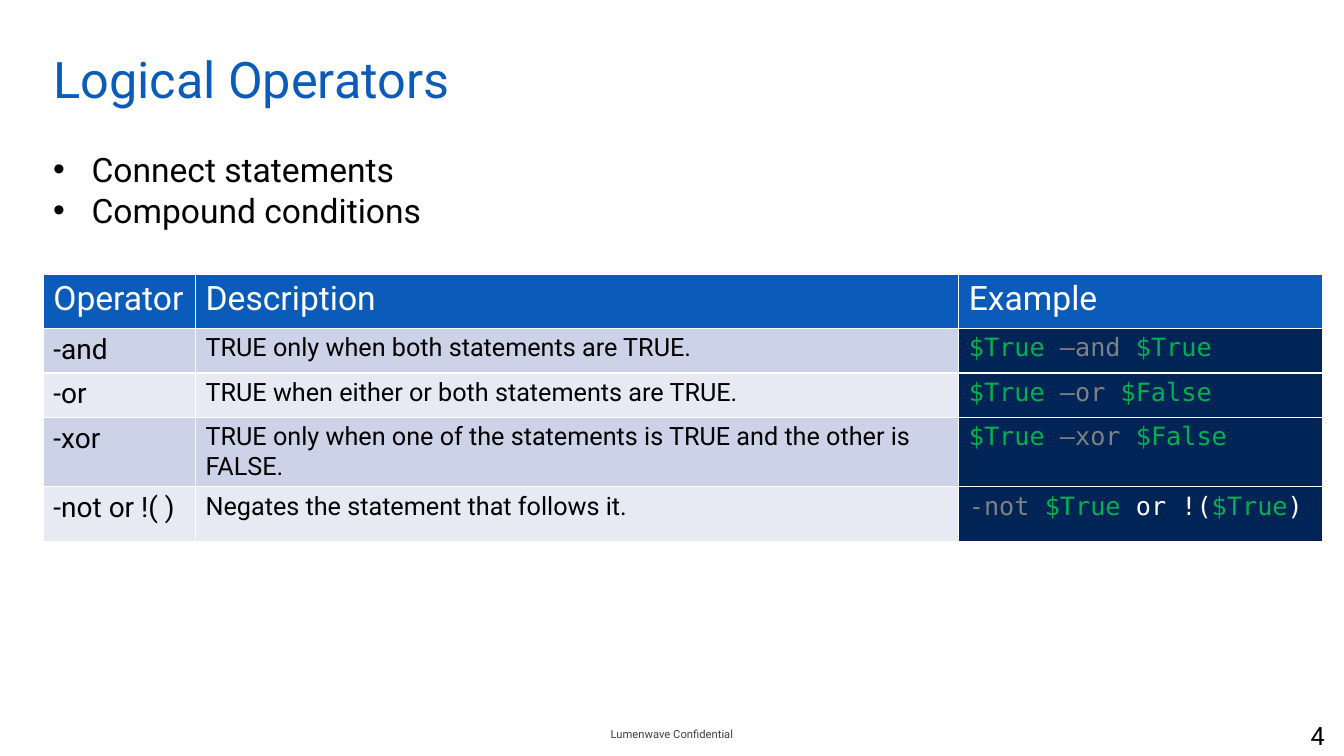
from lxml import etree
from pptx import Presentation
from pptx.dml.color import RGBColor
from pptx.enum import text
from pptx.oxml import ns
from pptx.util import Inches, Pt

# Content
TITLE = "Logical Operators"
BULLETS = ["Connect statements", "Compound conditions"]
FOOTER = "Lumenwave Confidential"
PAGE_NUMBER = "4"
HEADERS = ["Operator", "Description", "Example"]
OPERATORS = [
    ("-and", "TRUE only when both statements are TRUE.",
     [("$True ", "value"), ("–and ", "operator"), ("$True", "value")]),
    ("-or", "TRUE when either or both statements are TRUE.",
     [("$True ", "value"), ("–or ", "operator"), ("$False", "value")]),
    ("-xor", "TRUE only when one of the statements is TRUE and the other is FALSE.",
     [("$True ", "value"), ("–xor ", "operator"), ("$False", "value")]),
    ("-not or !( )", "Negates the statement that follows it.",
     [("-not ", "operator"), ("$True", "value"), (" or !(", "white"),
      ("$True", "value"), (")", "white")]),
]

# Style
COLORS = {
    "blue": "0A5BBA", "white": "FFFFFF", "black": "000000", "footer": "3F3F3F",
    "odd": "CCD2E7", "even": "E7EAF3", "console": "012456",
    "value": "00B050", "operator": "808080",
}
BODY_FONT, CODE_FONT = "Roboto", "DejaVu Sans Mono"
COLUMN_WIDTHS = [1.51, 7.57, 3.61]
ROW_HEIGHTS = [0.54, 0.44, 0.44, 0.69, 0.54]


def add_span(para, words, size, color, font=BODY_FONT):
    span = para.add_run()
    span.text = words
    span.font.size = Pt(size)
    span.font.name = font
    span.font.color.rgb = RGBColor.from_string(COLORS[color])


def set_frame(frame, insets, anchor=text.MSO_ANCHOR.TOP):
    frame.word_wrap = True
    frame.auto_size = text.MSO_AUTO_SIZE.NONE
    frame.vertical_anchor = anchor
    (frame.margin_left, frame.margin_top,
     frame.margin_right, frame.margin_bottom) = map(Inches, insets)


def add_box(page, left, top, width, height):
    return page.shapes.add_textbox(*map(Inches, (left, top, width, height))).text_frame


def add_small_text(page, left, top, words, size, color, alignment):
    frame = add_box(page, left, top, 3.11, 0.4)
    set_frame(frame, (0.2, 0.05, 0.2, 0.05), text.MSO_ANCHOR.MIDDLE)
    para = frame.paragraphs[0]
    para.alignment = alignment
    add_span(para, words, size, color)


def add_bullet(para):
    properties = para._p.get_or_add_pPr()
    properties.set("marL", str(Inches(0.38)))
    properties.set("indent", str(-Inches(0.38)))
    etree.SubElement(properties, ns.qn("a:buFont"), typeface="Arial")
    etree.SubElement(properties, ns.qn("a:buChar"), char="•")


def style_cell(cell, fill):
    properties = cell._tc.get_or_add_tcPr()
    for side in ("lnL", "lnR", "lnT", "lnB"):
        line = etree.SubElement(properties, ns.qn("a:" + side), w=str(Pt(1)))
        solid = etree.SubElement(line, ns.qn("a:solidFill"))
        etree.SubElement(solid, ns.qn("a:srgbClr"), val=COLORS["white"])
    cell.fill.solid()
    cell.fill.fore_color.rgb = RGBColor.from_string(COLORS[fill])
    return cell.text_frame.paragraphs[0]


def add_operator_table(page):
    frame = page.shapes.add_table(
        len(ROW_HEIGHTS), len(COLUMN_WIDTHS), Inches(0.43), Inches(2.72),
        Inches(sum(COLUMN_WIDTHS)), Inches(sum(ROW_HEIGHTS)))
    table = frame.table
    table.first_row = table.horz_banding = False
    for column, width in zip(table.columns, COLUMN_WIDTHS):
        column.width = Inches(width)
    for row, height in zip(table.rows, ROW_HEIGHTS):
        row.height = Inches(height)

    for column, header in enumerate(HEADERS):
        add_span(style_cell(table.cell(0, column), "blue"), header, 24, "white")
    for row, (operator, description, example) in enumerate(OPERATORS, start=1):
        band = "odd" if row % 2 else "even"
        add_span(style_cell(table.cell(row, 0), band), operator, 20, "black")
        add_span(style_cell(table.cell(row, 1), band), description, 18, "black")
        para = style_cell(table.cell(row, 2), "console")
        for words, color in example:
            add_span(para, words, 18, color, CODE_FONT)


def main():
    deck = Presentation()
    deck.slide_width, deck.slide_height = Inches(13.33), Inches(7.5)
    page = deck.slides.add_slide(deck.slide_layouts[5])

    # Title
    title = page.shapes.title
    title.left, title.top = Inches(0.33), Inches(0.33)
    title.width, title.height = Inches(12.33), Inches(0.75)
    set_frame(title.text_frame, (0.2, 0.15, 0.1, 0.05))
    heading = title.text_frame.paragraphs[0]
    heading.alignment = text.PP_ALIGN.LEFT
    add_span(heading, TITLE, 36, "blue")

    # Bullets
    frame = add_box(page, 0.43, 1.43, 6.67, 0.91)
    set_frame(frame, (0.1, 0.05, 0.1, 0.05))
    for index, bullet in enumerate(BULLETS):
        para = frame.add_paragraph() if index else frame.paragraphs[0]
        add_bullet(para)
        add_span(para, bullet, 24, "black")

    # Table, footer and page number
    add_operator_table(page)
    add_small_text(page, 5.11, 7.08, FOOTER, 8, "footer", text.PP_ALIGN.CENTER)
    add_small_text(page, 10.23, 7.1, PAGE_NUMBER, 18, "black", text.PP_ALIGN.RIGHT)

    deck.save("out.pptx")


if __name__ == "__main__":
    main()
